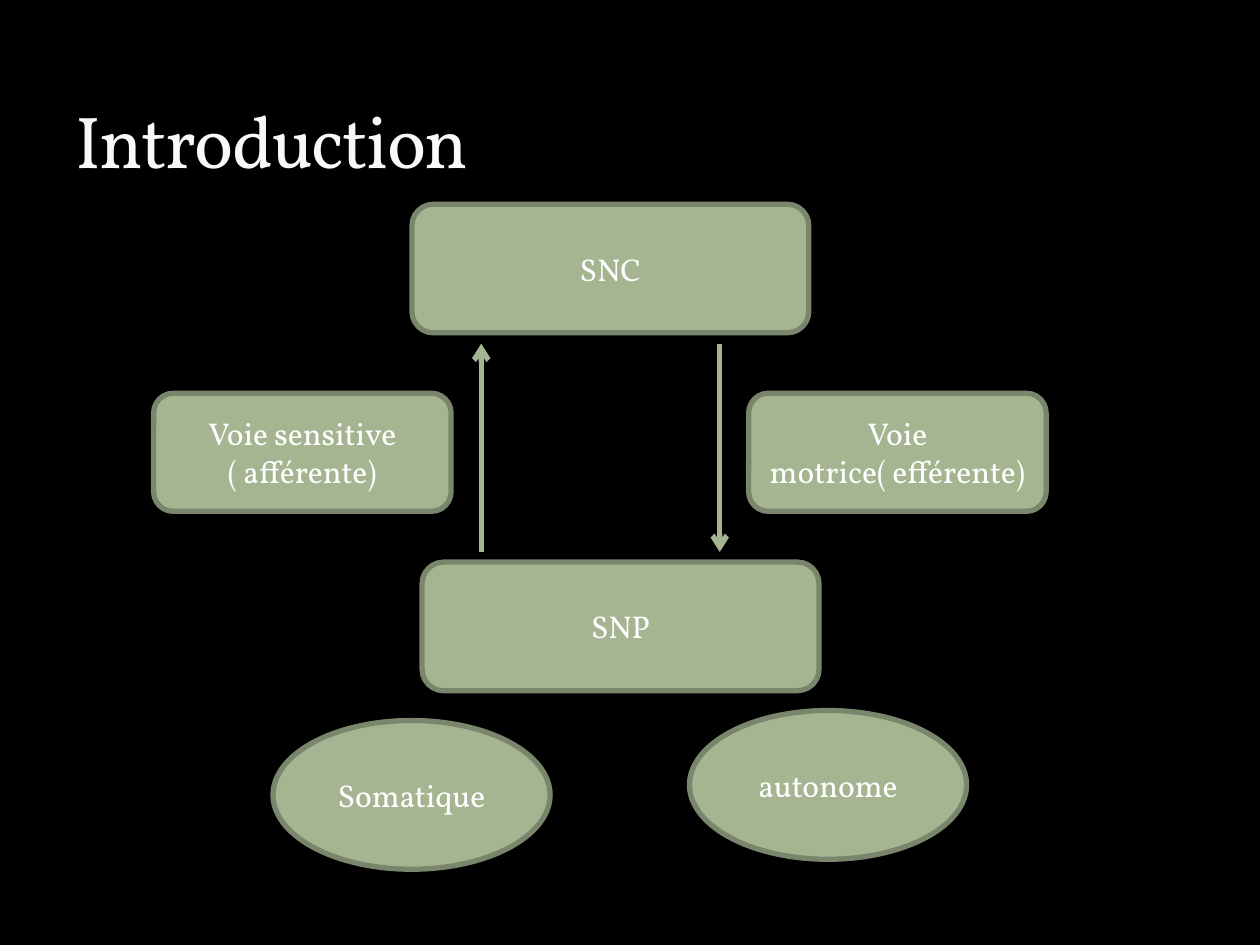
import pptx
import pptx.dml.color
import pptx.enum.shapes
import pptx.enum.text
import pptx.oxml
import pptx.oxml.ns
import pptx.util

Pt = pptx.util.Pt
RGBColor = pptx.dml.color.RGBColor
MSO_SHAPE = pptx.enum.shapes.MSO_SHAPE
PP_ALIGN = pptx.enum.text.PP_ALIGN
MSO_ANCHOR = pptx.enum.text.MSO_ANCHOR

BLACK = RGBColor(0x00, 0x00, 0x00)
TITLE_WHITE = RGBColor(0xF9, 0xF9, 0xF9)
WHITE = RGBColor(0xFF, 0xFF, 0xFF)
SAGE = RGBColor(0xA5, 0xB5, 0x92)
DARK_SAGE = RGBColor(0x7A, 0x86, 0x6C)
FONT = "Vollkorn"


def write_text(shape, text, size, color, align, anchor):
    """Put one formatted run in the shape."""
    tf = shape.text_frame
    for name, value in {"word_wrap": True, "vertical_anchor": anchor}.items():
        setattr(tf, name, value)
    p = tf.paragraphs[0]
    p.alignment = align
    r = p.add_run()
    r.text = text
    for name, value in {"name": FONT, "size": Pt(size)}.items():
        setattr(r.font, name, value)
    r.font.color.rgb = color
    return r


def add_title(s, text, left, top, width, height):
    """Place the slide title at the bottom of its box."""
    box = s.shapes.add_textbox(Pt(left), Pt(top), Pt(width), Pt(height))
    r = write_text(box, text, 42, TITLE_WHITE, PP_ALIGN.LEFT, MSO_ANCHOR.BOTTOM)
    r.font._element.set("spc", "-100")


def add_node(s, kind, text, left, top, width, height):
    """Draw one labelled node of the diagram."""
    sp = s.shapes.add_shape(kind, Pt(left), Pt(top), Pt(width), Pt(height))
    sp.shadow.inherit = False
    sp.fill.solid()
    sp.fill.fore_color.rgb = SAGE
    sp.line.color.rgb = DARK_SAGE
    sp.line.width = Pt(3)
    write_text(sp, text, 18, WHITE, PP_ALIGN.CENTER, MSO_ANCHOR.MIDDLE)


def add_arrow(s, x, start, end):
    """Draw a vertical arrow from start to end."""
    line = s.shapes.add_connector(
        pptx.enum.shapes.MSO_CONNECTOR.STRAIGHT, Pt(x), Pt(start), Pt(x), Pt(end)
    )
    line.line.color.rgb = SAGE
    line.line.width = Pt(3)
    ns = pptx.oxml.ns.nsdecls("a")
    ln = line.line._get_or_add_ln()
    ln.append(pptx.oxml.parse_xml(f'<a:tailEnd {ns} type="arrow"/>'))
    line._element.spPr.append(pptx.oxml.parse_xml(f"<a:effectLst {ns}/>"))


def add_diagram(s, left, top, width, height):
    """Draw the nervous system diagram relative to its box."""
    rect, oval = MSO_SHAPE.ROUNDED_RECTANGLE, MSO_SHAPE.OVAL
    centre_w, centre_h = 226.8, 73.5
    side_w, side_h = 170, 67.5
    oval_w, oval_h = 158.4, 85
    side_y = top + 108
    nodes = [
        (rect, "SNC", left + 147.6, top, centre_w, centre_h),
        (rect, "SNP", left + 153.4, top + 204.5, centre_w, centre_h),
        (rect, "Voie sensitive ( afférente)", left, side_y, side_w, side_h),
        (rect, "Voie motrice( efférente)", left + width - side_w, side_y, side_w, side_h),
        (oval, "Somatique", left + 68.2, top + height - oval_h, oval_w, oval_h),
        (oval, "autonome", left + 306.2, top + height - oval_h - 5.7, oval_w, oval_h),
    ]
    for node in nodes:
        add_node(s, *node)
    upper, lower = top + 79.7, top + 198.7
    add_arrow(s, left + 323.5, upper, lower)
    add_arrow(s, left + 187.2, lower, upper)


def main():
    """Build the slide and save it."""
    prs = pptx.Presentation()
    prs.slide_width, prs.slide_height = Pt(720), Pt(540)
    s = prs.slides.add_slide(prs.slide_layouts[6])
    s.background.fill.solid()
    s.background.fill.fore_color.rgb = BLACK
    add_title(s, "Introduction", 36, 12.2, 648, 95.8)
    add_diagram(s, 87.8, 116.7, 510, 380)
    prs.save("out.pptx")


if __name__ == "__main__":
    main()
